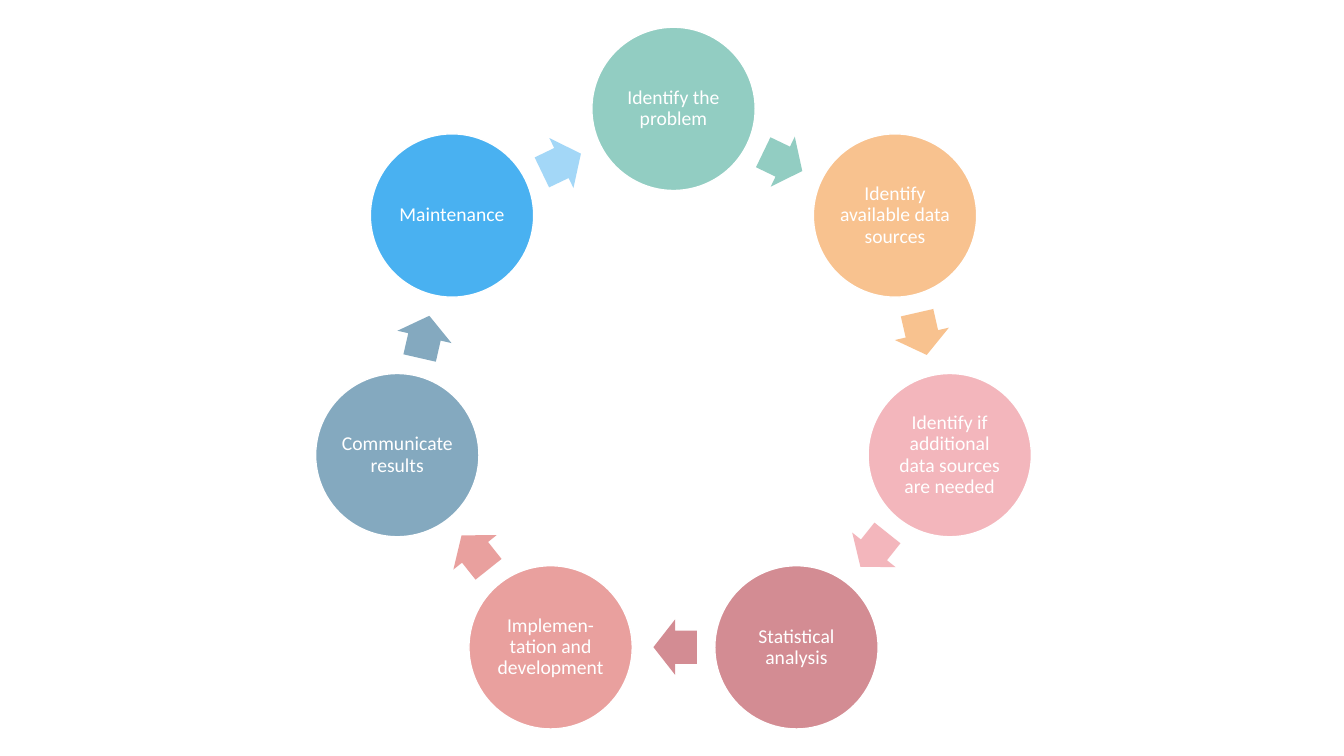
import math

from lxml import etree
from pptx import Presentation
from pptx import util as u
from pptx.dml.color import RGBColor
from pptx.enum import shapes, text
from pptx.oxml.ns import qn

CENTER_X, CENTER_Y = 6.68, 3.89
CIRCLE_ORBIT, ARROW_ORBIT = 2.81, 2.53
CIRCLE_SIZE = 1.62
ARROW_LENGTH, ARROW_HEIGHT = 0.43, 0.55
ARROW_LAG = 0.35  # degrees by which each arrow sits before the midpoint
WHITE = "FFFFFF"

# label, colour, circle opacity in percent
STEPS = [
    ("Identify the problem", "279C87", 50),
    ("Identify available data sources", "F38620", 50),
    ("Identify if additional data sources are needed", "E86E7A", 50),
    ("Statistical analysis", "A91B29", 50),
    ("Implemen-tation and development", "D5433F", 50),
    ("Communicate results", "0A5581", 50),
    ("Maintenance", "49B1F1", 100),
]


def set_color(target, color):
    target.rgb = RGBColor.from_string(color)


def set_fill(shape, color, opacity):
    shape.fill.solid()
    set_color(shape.fill.fore_color, color)
    if opacity < 100:
        tint = shape._element.spPr.find(qn("a:solidFill"))[0]
        etree.SubElement(tint, qn("a:alpha"), val=str(opacity * 1000))


def add_on_orbit(page, kind, orbit, angle, width, height):
    """Add a shape centred on the ring, angle in degrees clockwise from the top."""
    x = CENTER_X + orbit * math.sin(math.radians(angle))
    y = CENTER_Y - orbit * math.cos(math.radians(angle))
    shape = page.shapes.add_shape(
        kind, u.Inches(x - width / 2), u.Inches(y - height / 2),
        u.Inches(width), u.Inches(height))
    shape.shadow.inherit = False
    return shape


def add_label(shape, label):
    frame = shape.text_frame
    frame.word_wrap = True
    frame.vertical_anchor = text.MSO_ANCHOR.MIDDLE
    frame.margin_left = frame.margin_right = u.Inches(0.02)
    frame.margin_top = frame.margin_bottom = u.Inches(0.02)
    frame.text = label
    para = frame.paragraphs[0]
    para.alignment = text.PP_ALIGN.CENTER
    para.line_spacing = 0.9
    font = para.runs[0].font
    font.name = "Calibri"
    font.size = u.Pt(14)
    set_color(font.color, WHITE)


def add_circle(page, angle, label, color, opacity):
    circle = add_on_orbit(page, shapes.MSO_SHAPE.OVAL, CIRCLE_ORBIT, angle,
                          CIRCLE_SIZE, CIRCLE_SIZE)
    set_fill(circle, color, opacity)
    set_color(circle.line.color, WHITE)
    circle.line.width = u.Pt(1)
    add_label(circle, label)


def add_arrow(page, angle, color):
    arrow = add_on_orbit(page, shapes.MSO_SHAPE.RIGHT_ARROW, ARROW_ORBIT,
                         angle - ARROW_LAG, ARROW_LENGTH, ARROW_HEIGHT)
    arrow.adjustments[0] = 0.6
    arrow.adjustments[1] = 0.5
    arrow.rotation = angle
    set_fill(arrow, color, 50)
    arrow.line.fill.background()


def main():
    deck = Presentation()
    deck.slide_width = u.Inches(13.33)
    deck.slide_height = u.Inches(7.5)
    page = deck.slides.add_slide(deck.slide_layouts[6])

    turn = 360 / len(STEPS)
    for index, (label, color, opacity) in enumerate(STEPS):
        add_circle(page, index * turn, label, color, opacity)
        add_arrow(page, (index + 0.5) * turn, color)

    deck.save("out.pptx")


if __name__ == "__main__":
    main()
